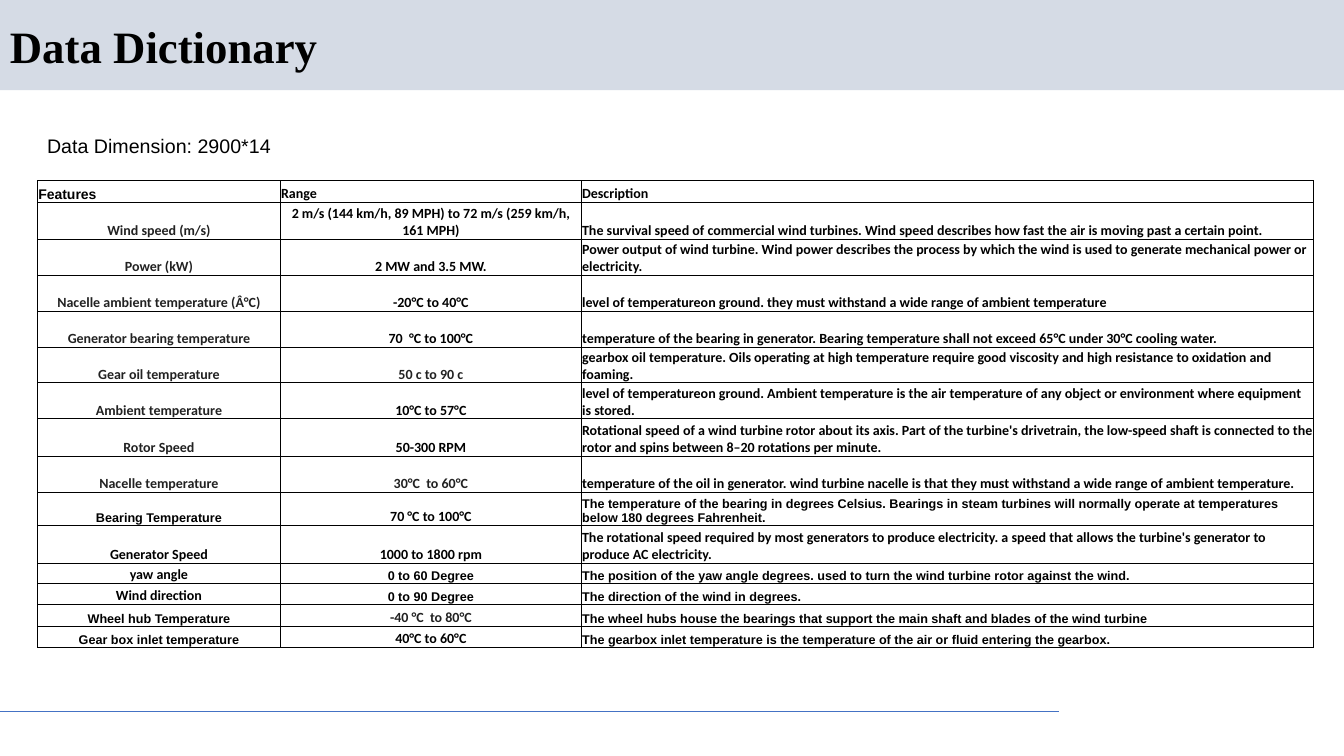
from lxml.etree import SubElement
from pptx import Presentation
from pptx.dml.color import RGBColor
from pptx.enum.shapes import MSO_CONNECTOR, MSO_SHAPE
from pptx.enum.text import MSO_ANCHOR, PP_ALIGN
from pptx.oxml.ns import qn
from pptx.util import Pt

BLACK, CHARCOAL, WHITE = "000000", "222222", "FFFFFF"
BAND_BLUE, RULE_BLUE = "D5DBE5", "4472C4"

BODY = ("Calibri", 10, BLACK, True)
MUTED = ("Calibri", 10, CHARCOAL, True)
SMALL = ("Arial", 9, BLACK, True)
HEADING = ("Arial", 10, BLACK, True)
TITLE = ("Times New Roman", 32, BLACK, True)
CAPTION = ("Arial", 14, BLACK, False)

COLUMN_WIDTHS = [173.5, 215, 523]
FEATURES = [
    (15.5, (HEADING, BODY, BODY), "Features", "Range", "Description"),
    (26.5, (MUTED, BODY, BODY), "Wind speed (m/s)",
     "2 m/s (144 km/h, 89 MPH) to 72 m/s (259 km/h, 161 MPH)",
     "The survival speed of commercial wind turbines. Wind speed describes how fast "
     "the air is moving past a certain point."),
    (25.75, (MUTED, BODY, BODY), "Power (kW)", "2 MW and 3.5 MW.",
     "Power output of wind turbine. Wind power describes the process by which the wind "
     "is used to generate mechanical power or electricity."),
    (25.75, (MUTED, BODY, BODY), "Nacelle ambient temperature (Â°C)", "-20°C to 40°C",
     "level of temperatureon ground. they must withstand a wide range of ambient temperature"),
    (25.5, (MUTED, BODY, BODY), "Generator bearing temperature", "70  °C to 100°C",
     "temperature of the bearing in generator. Bearing temperature shall not exceed "
     "65°C under 30°C cooling water."),
    (25.5, (MUTED, MUTED, BODY), "Gear oil temperature", "50 c to 90 c",
     "gearbox oil temperature. Oils operating at high temperature require good viscosity "
     "and high resistance to oxidation and foaming."),
    (25.75, (MUTED, BODY, BODY), "Ambient temperature", "10°C to 57°C",
     "level of temperatureon ground. Ambient temperature is the air temperature of any "
     "object or environment where equipment is stored."),
    (26.75, (MUTED, BODY, BODY), "Rotor Speed", "50-300 RPM",
     "Rotational speed of a wind turbine rotor about its axis. Part of the turbine's "
     "drivetrain, the low-speed shaft is connected to the rotor and spins between "
     "8–20 rotations per minute."),
    (25.5, (MUTED, MUTED, BODY), "Nacelle temperature", "30°C  to 60°C",
     "temperature of the oil in generator. wind turbine nacelle is that they must "
     "withstand a wide range of ambient temperature."),
    (23.75, (SMALL, BODY, SMALL), "Bearing Temperature", "70 °C to 100°C",
     "The temperature of the bearing in degrees Celsius. Bearings in steam turbines will "
     "normally operate at temperatures below 180 degrees Fahrenheit."),
    (27, (BODY, BODY, BODY), "Generator Speed", "1000 to 1800 rpm",
     "The rotational speed required by most generators to produce electricity. a speed "
     "that allows the turbine's generator to produce AC electricity."),
    (14.75, (BODY, SMALL, SMALL), "yaw angle", "0 to 60 Degree",
     "The position of the yaw angle degrees. used to turn the wind turbine rotor "
     "against the wind."),
    (15, (BODY, SMALL, SMALL), "Wind direction", "0 to 90 Degree",
     "The direction of the wind in degrees."),
    (15.5, (SMALL, MUTED, SMALL), "Wheel hub Temperature", "-40 °C  to 80°C",
     "The wheel hubs house the bearings that support the main shaft and blades of the "
     "wind turbine"),
    (15, (SMALL, BODY, SMALL), "Gear box inlet temperature", "40°C to 60°C",
     "The gearbox inlet temperature is the temperature of the air or fluid entering "
     "the gearbox."),
]


def color(value):
    return RGBColor.from_string(value)


class DictionarySlide:
    def __init__(self, slide, border_color=BLACK, border_width=0.5):
        self.shapes = slide.shapes
        self.border_color = border_color
        self.border_width = border_width

    def run(self, paragraph, content, style):
        run = paragraph.add_run()
        run.text = content
        run.font.name, size, ink, run.font.bold = style
        run.font.size = Pt(size)
        run.font.color.rgb = color(ink)

    def band(self, left, top, width, height, fill):
        band = self.shapes.add_shape(
            MSO_SHAPE.RECTANGLE, Pt(left), Pt(top), Pt(width), Pt(height))
        band.shadow.inherit = False
        band.fill.solid()
        band.fill.fore_color.rgb = color(fill)
        band.line.fill.background()

    def rule(self, left, right, y, ink):
        rule = self.shapes.add_connector(
            MSO_CONNECTOR.STRAIGHT, Pt(left), Pt(y), Pt(right), Pt(y))
        rule.line.color.rgb = color(ink)
        rule.line.width = Pt(0.75)
        SubElement(rule._element.spPr, qn("a:effectLst"))

    def text(self, left, top, width, height, content, style,
             anchor=MSO_ANCHOR.TOP, spacing=1.0):
        frame = self.shapes.add_textbox(
            Pt(left), Pt(top), Pt(width), Pt(height)).text_frame
        frame.word_wrap = True
        frame.vertical_anchor = anchor
        paragraph = frame.paragraphs[0]
        paragraph.line_spacing = spacing
        self.run(paragraph, content, style)

    def borders(self, cell):
        properties = cell._tc.get_or_add_tcPr()
        for side in ("a:lnL", "a:lnR", "a:lnT", "a:lnB"):
            edge = SubElement(properties, qn(side), w=str(Pt(self.border_width)))
            fill = SubElement(edge, qn("a:solidFill"))
            SubElement(fill, qn("a:srgbClr"), val=self.border_color)

    def cell(self, cell, content, style, align):
        self.borders(cell)
        cell.fill.solid()
        cell.fill.fore_color.rgb = color(WHITE)
        cell.margin_left = cell.margin_right = cell.margin_top = Pt(0.6)
        cell.margin_bottom = 0
        cell.vertical_anchor = MSO_ANCHOR.BOTTOM
        paragraph = cell.text_frame.paragraphs[0]
        paragraph.alignment = align
        self.run(paragraph, content, style)

    def table(self, left, top, widths, rows):
        height = sum(row[0] for row in rows)
        table = self.shapes.add_table(
            len(rows), len(widths), Pt(left), Pt(top), Pt(sum(widths)), Pt(height)).table
        table.first_row = table.horz_banding = False
        for column, width in zip(table.columns, widths):
            column.width = Pt(width)
        for r, (row_height, styles, *contents) in enumerate(rows):
            table.rows[r].height = Pt(row_height)
            for c, (content, style) in enumerate(zip(contents, styles)):
                centered = r > 0 and c < 2
                align = PP_ALIGN.CENTER if centered else PP_ALIGN.LEFT
                self.cell(table.cell(r, c), content, style, align)


def main():
    presentation = Presentation()
    presentation.slide_width = Pt(960)
    presentation.slide_height = Pt(540)
    page = DictionarySlide(presentation.slides.add_slide(presentation.slide_layouts[6]))
    page.band(0, 0, 960, 64.5, BAND_BLUE)
    page.rule(0, 756.5, 508.25, RULE_BLUE)
    page.text(0, 13.5, 828, 42.5, "Data Dictionary", TITLE, MSO_ANCHOR.MIDDLE, 0.9)
    page.table(26.75, 129, COLUMN_WIDTHS, FEATURES)
    page.text(26.5, 92.25, 234.5, 24.25, "Data Dimension: 2900*14", CAPTION)
    presentation.save("out.pptx")


if __name__ == "__main__":
    main()
